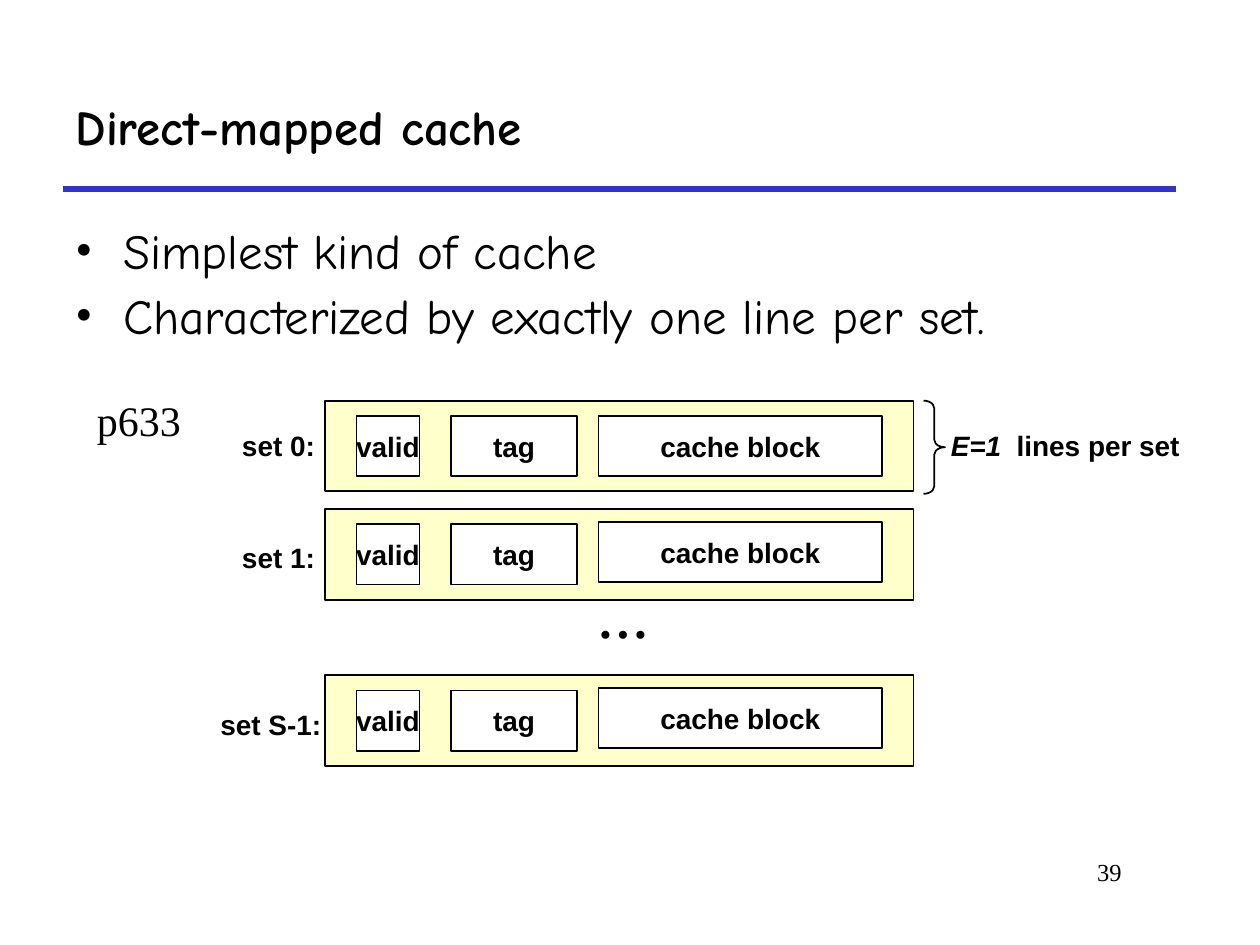
from lxml.etree import SubElement
from pptx import Presentation
from pptx.dml.color import RGBColor
from pptx.enum.shapes import MSO_CONNECTOR, MSO_SHAPE
from pptx.enum.text import MSO_ANCHOR, MSO_AUTO_SIZE, PP_ALIGN
from pptx.oxml.ns import qn
from pptx.util import Inches, Pt

BLACK, WHITE, YELLOW, BLUE = "000000", "FFFFFF", "FFFF99", "3333CC"
SANS, SERIF, HAND = "Arial", "Times New Roman", "Comic Neue"

# Diagram grid: one row per set, one column per field of a cache line
SET_LEFT, SET_WIDTH, SET_HEIGHT = 2.58, 4.67, 0.72
FIELD_HEIGHT, LABEL_HEIGHT = 0.48, 0.37
FIELD_INSET = (SET_HEIGHT - FIELD_HEIGHT) / 2
FIELDS = [("valid", 2.83, 0.5), ("tag", 3.58, 1), ("cache block", 4.75, 2.25)]
# name, top of the set, label left and width, label offset, block offset
SETS = [
    ("set 0:", 3.18, 1.82, 0.78, 0.17, FIELD_INSET),
    ("set 1:", 4.04, 1.82, 0.78, 0.2, 0.1),
    ("set S-1:", 5.36, 1.65, 1, 0.2, 0.1),
]


def rgb(hex_code):
    return RGBColor.from_string(hex_code)


def style_font(font, size, name, bold=False):
    font.size, font.name, font.bold = Pt(size), name, bold
    font.color.rgb = rgb(BLACK)


def format_text(frame, size, name, bold=False, align=PP_ALIGN.CENTER,
                anchor=MSO_ANCHOR.MIDDLE, wrap=False):
    frame.auto_size = MSO_AUTO_SIZE.NONE
    frame.word_wrap = wrap
    frame.vertical_anchor = anchor
    for paragraph in frame.paragraphs:
        paragraph.alignment = align
        for run in paragraph.runs:
            style_font(run.font, size, name, bold)


def add_text(slide, text, box, size=16, name=SANS, bold=True, **layout):
    frame = slide.shapes.add_textbox(*map(Inches, box)).text_frame
    frame.text = text
    format_text(frame, size, name, bold, **layout)
    return frame


def add_outlined(slide, preset, box, fill=None, opacity=100):
    shape = slide.shapes.add_shape(preset, *map(Inches, box))
    shape.shadow.inherit = False
    if fill:
        shape.fill.solid()
        shape.fill.fore_color.rgb = rgb(fill)
        if opacity < 100:
            color = shape.element.spPr.find(qn("a:solidFill"))[0]
            SubElement(color, qn("a:alpha"), val=str(opacity * 1000))
    else:
        shape.fill.background()
    shape.line.color.rgb = rgb(BLACK)
    shape.line.width = Pt(1)
    return shape


def add_field(slide, text, box):
    field = add_outlined(slide, MSO_SHAPE.RECTANGLE, box, WHITE)
    field.text_frame.text = text
    format_text(field.text_frame, 16, SANS, bold=True)


def add_set(slide, name, top, label_left, label_width, label_offset, block_offset):
    add_outlined(slide, MSO_SHAPE.RECTANGLE,
                 (SET_LEFT, top, SET_WIDTH, SET_HEIGHT), YELLOW, opacity=50)
    for text, left, width in FIELDS:
        offset = block_offset if text == "cache block" else FIELD_INSET
        add_field(slide, text, (left, top + offset, width, FIELD_HEIGHT))
    add_text(slide, name, (label_left, top + label_offset, label_width, LABEL_HEIGHT))


def add_title(slide, text):
    title = slide.shapes.title
    title.left, title.top, title.width, title.height = map(Inches, (0.5, 0.5, 8.83, 1))
    title.text_frame.text = text
    format_text(title.text_frame, 28, HAND, bold=True, align=PP_ALIGN.LEFT, wrap=True)


def add_rule(slide):
    rule = slide.shapes.add_connector(
        MSO_CONNECTOR.STRAIGHT, *map(Inches, (0.5, 1.5, 9.33, 1.5)))
    rule.line.color.rgb = rgb(BLUE)
    rule.line.width = Pt(3)
    SubElement(rule.element.spPr, qn("a:effectLst"))


def add_bullets(slide, points):
    frame = add_text(slide, "\n".join(points), (0.5, 1.75, 9.08, 1.08), 28, HAND,
                     bold=False, align=PP_ALIGN.LEFT, anchor=MSO_ANCHOR.TOP, wrap=True)
    for number, paragraph in enumerate(frame.paragraphs):
        paragraph.line_spacing = 0.9
        paragraph.space_before = Pt(7 if number else 0)
        properties = paragraph._p.get_or_add_pPr()
        properties.set("marL", str(Inches(0.38)))
        properties.set("indent", str(-Inches(0.38)))
        SubElement(properties, qn("a:buFont"), typeface=SERIF)
        SubElement(properties, qn("a:buChar"), char="•")


def add_lines_note(slide, top):
    # Brace beside the first set, with its caption
    brace = add_outlined(slide, MSO_SHAPE.RIGHT_BRACE, (7.33, top, 0.17, 0.74))
    brace.adjustments[0] = 0.35
    caption = add_text(slide, "E=1", (7.45, top + 0.17, 2.01, LABEL_HEIGHT))
    count = caption.paragraphs[0]
    count.runs[0].font.italic = True
    unit = count.add_run()
    unit.text = "  lines per set"
    style_font(unit.font, 16, SANS, bold=True)


def main():
    deck = Presentation()
    deck.slide_width, deck.slide_height = Inches(10), Inches(7.5)
    slide = deck.slides.add_slide(deck.slide_layouts[5])

    # Heading and points
    add_rule(slide)
    add_title(slide, "Direct-mapped cache")
    add_bullets(slide, ["Simplest kind of cache",
                        "Characterized by exactly one line per set."])

    # Cache diagram
    for cache_set in SETS:
        add_set(slide, *cache_set)
    add_text(slide, "• • •", (4.67, 4.84, 0.55, LABEL_HEIGHT))
    add_lines_note(slide, SETS[0][1])

    # Page reference and slide number
    add_text(slide, "p633", (0.67, 3.08, 0.86, 0.5), 24, SERIF, bold=False,
             align=PP_ALIGN.LEFT, anchor=MSO_ANCHOR.TOP)
    add_text(slide, "39", (7.58, 6.75, 1.42, 0.5), 14, SERIF, bold=False,
             align=PP_ALIGN.RIGHT, anchor=MSO_ANCHOR.TOP, wrap=True)

    deck.save("out.pptx")


if __name__ == "__main__":
    main()
